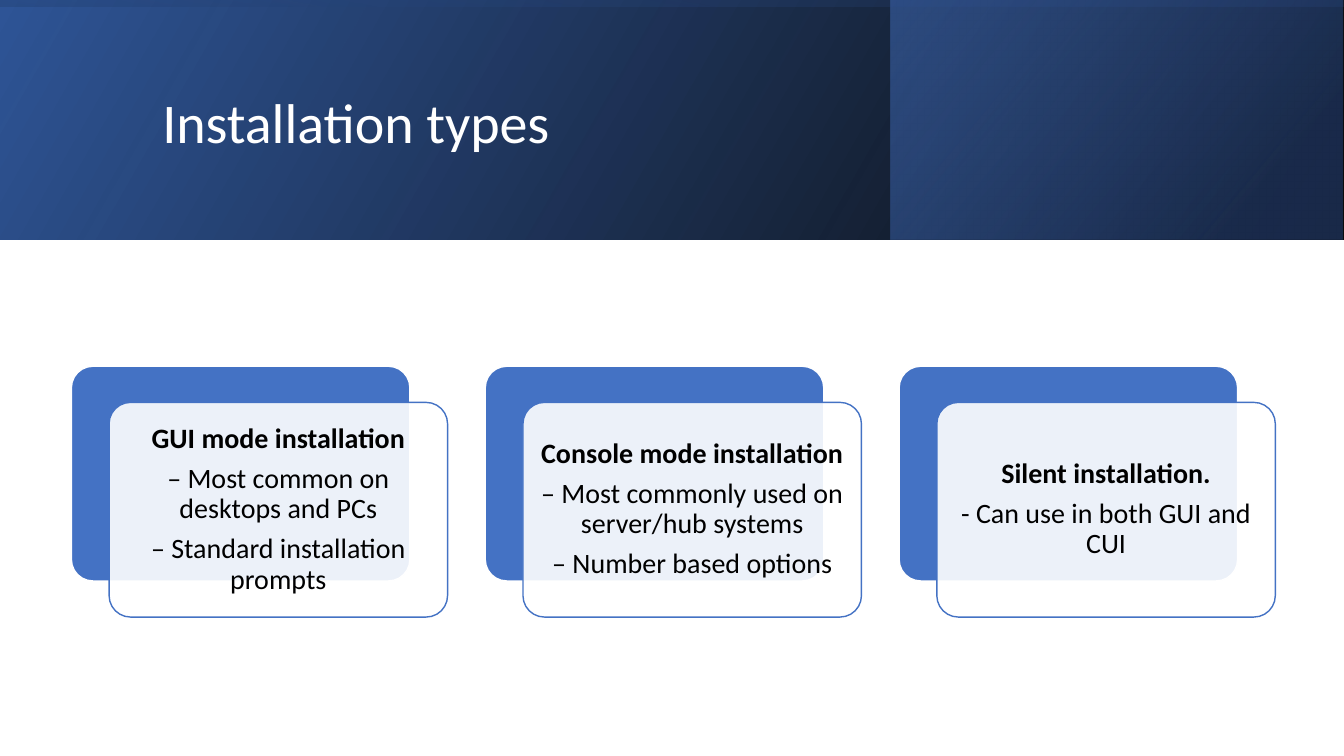
from lxml import etree
from pptx import Presentation
from pptx import util as u
from pptx.dml.color import RGBColor
from pptx.enum import shapes, text
from pptx.oxml.ns import qn

COLORS = {
    "white": "FFFFFF",
    "black": "000000",
    "blue": "4472C4",
    "deep": "2F5597",
    "navy": "203864",
}
FONT = "Calibri"
WIDTH, HEIGHT, BAND = 33.87, 19.05, 6.03
CARDS = [
    ["GUI mode installation", "– Most common on desktops and PCs",
     "– Standard installation prompts"],
    ["Console mode installation", "– Most commonly used on server/hub systems",
     "– Number based options"],
    ["Silent installation.", "- Can use in both GUI and CUI"],
]


def rgb(name):
    return RGBColor.from_string(COLORS[name])


def add_alpha(color, percent):
    etree.SubElement(color, qn("a:alpha"), val=str(percent * 1000))


def add_box(s, kind, x, y, w, h):
    sp = s.shapes.add_shape(kind, u.Cm(x), u.Cm(y), u.Cm(w), u.Cm(h))
    sp.shadow.inherit = False
    return sp


def add_gradient(s, x, y, w, h, stops, angle, rotation=0):
    sp = add_box(s, shapes.MSO_SHAPE.RECTANGLE, x, y, w, h)
    sp.rotation = rotation
    sp.line.fill.background()
    props = sp.element.spPr
    props.find(qn("a:xfrm")).set("flipH", "1")
    grad = etree.Element(qn("a:gradFill"), rotWithShape="1")
    stop_list = etree.SubElement(grad, qn("a:gsLst"))
    for position, name, alpha in stops:
        stop = etree.SubElement(stop_list, qn("a:gs"), pos=str(position * 1000))
        add_alpha(etree.SubElement(stop, qn("a:srgbClr"), val=COLORS[name]), alpha)
    etree.SubElement(grad, qn("a:lin"), ang=str(angle * 60000), scaled="0")
    props.find(qn("a:prstGeom")).addnext(grad)


def add_text(s, x, y, w, h, inset=None):
    tf = s.shapes.add_textbox(u.Cm(x), u.Cm(y), u.Cm(w), u.Cm(h)).text_frame
    tf.word_wrap = True
    tf.vertical_anchor = text.MSO_ANCHOR.MIDDLE
    if inset is not None:
        tf.margin_left = tf.margin_right = u.Cm(inset)
        tf.margin_top = tf.margin_bottom = u.Cm(inset)
    return tf


def add_run(p, words, size, color, after, bold=False):
    p.line_spacing = 0.9
    p.space_after = u.Pt(after)
    r = p.add_run()
    r.text = words
    r.font.name = FONT
    r.font.size = u.Pt(size)
    r.font.bold = bold
    r.font.color.rgb = rgb(color)


def add_header(s, x, y, w, h):
    side = 11.38
    add_gradient(s, x, y, w, h, [(0, "black", 96), (100, "deep", 100)], 330)
    add_gradient(s, x + 22.45, y, side, h,
                 [(19, "navy", 68), (100, "blue", 48)], 320)
    add_gradient(s, x + (w - h) / 2, y - (w - h) / 2, h, w,
                 [(23, "deep", 16), (99, "black", 45)], 350, 270)
    tf = add_text(s, x + 3.84, y + 0.97, 27, 4.37)
    p = tf.paragraphs[0]
    props = p._p.get_or_add_pPr()
    props.set("marL", str(u.Cm(0.95)))
    props.set("indent", str(-u.Cm(0.95)))
    add_run(p, "Installation types", 40, "white", 10)


def add_card(s, x, y, w, h, lines):
    dx, dy, pad = 0.95, 0.91, 0.16
    rounded = shapes.MSO_SHAPE.ROUNDED_RECTANGLE
    back = add_box(s, rounded, x, y, w, h)
    front = add_box(s, rounded, x + dx, y + dy, w, h)
    for sp, fill, line in ((back, "blue", "white"), (front, "white", "blue")):
        sp.adjustments[0] = 0.1
        sp.fill.solid()
        sp.fill.fore_color.rgb = rgb(fill)
        sp.line.color.rgb = rgb(line)
        sp.line.width = u.Pt(1)
    add_alpha(front.element.spPr.find(qn("a:solidFill"))[0], 90)
    tf = add_text(s, x + dx + pad, y + dy + pad, w - 2 * pad, h - 2 * pad, 0.2)
    for i, words in enumerate(lines):
        p = tf.add_paragraph() if i else tf.paragraphs[0]
        p.alignment = text.PP_ALIGN.CENTER
        add_run(p, words, 20, "black", 7, bold=i == 0)


def add_cards(s, x, y, pitch):
    for i, lines in enumerate(CARDS):
        add_card(s, x + i * pitch, y, 8.53, 5.41, lines)


def main():
    prs = Presentation()
    prs.slide_width = u.Cm(WIDTH)
    prs.slide_height = u.Cm(HEIGHT)
    s = prs.slides.add_slide(prs.slide_layouts[6])
    add_header(s, 0, 0, WIDTH, BAND)
    add_cards(s, 1.8, 9.23, 10.43)
    prs.save("out.pptx")


if __name__ == "__main__":
    main()
